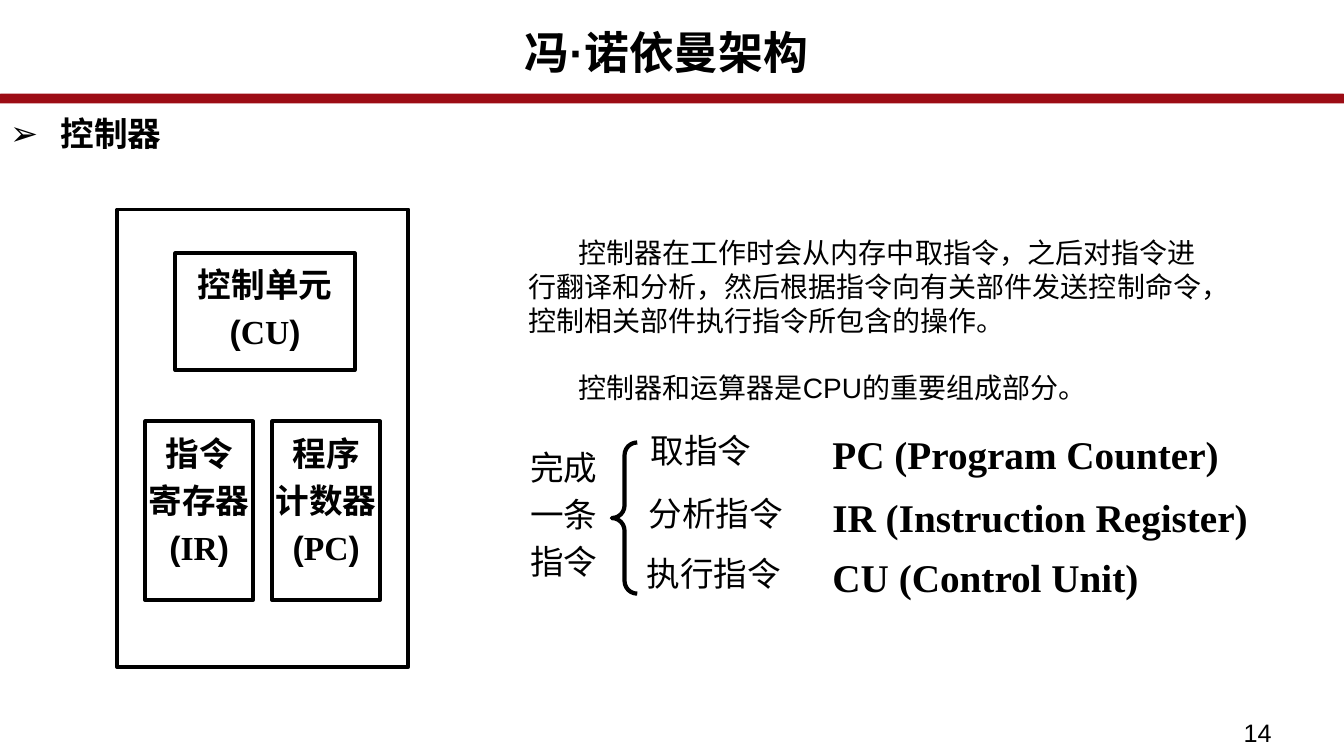
from lxml.etree import SubElement
from pptx import Presentation
from pptx.dml.color import RGBColor
from pptx.enum.shapes import MSO_SHAPE as Preset
from pptx.enum.text import MSO_ANCHOR as Anchor, MSO_AUTO_SIZE as AutoSize, PP_ALIGN as Align
from pptx.oxml.ns import qn
from pptx.util import Cm, Pt

BLACK, WHITE, RED = "000000", "FFFFFF", "9C0C15"
SANS, SERIF, CJK = "Arial", "Times New Roman", "Noto Sans CJK SC"

TITLE = "冯·诺依曼架构"
TOPIC = "控制器"
PAGE = "14"
EXPLANATION = [
    "控制器在工作时会从内存中取指令，之后对指令进行翻译和分析，然后根据指令向有关部件发送控制命令，控制相关部件执行指令所包含的操作。",
    "控制器和运算器是CPU的重要组成部分。",
]
# Each unit: name lines, abbreviation, (left, top, width, height) in cm
UNITS = [
    (["控制单元"], "CU", (4.42, 6.38, 4.52, 2.95)),
    (["指令", "寄存器"], "IR", (3.66, 10.62, 2.72, 4.5)),
    (["程序", "计数器"], "PC", (6.86, 10.62, 2.72, 4.5)),
]
CYCLE = ["完成", "一条", "指令"]
# Each step: action, register or unit in charge, left and top in cm
STEPS = [
    ("取指令", "PC (Program Counter)", 16.15, 10.72),
    ("分析指令", "IR (Instruction Register)", 16.1, 12.3),
    ("执行指令", "CU (Control Unit)", 16.05, 13.82),
]
REGISTER_LEFT = 20.73


def color(hex_code):
    return RGBColor.from_string(hex_code)


def place(shape, box):
    for side, length in zip(("left", "top", "width", "height"), box):
        setattr(shape, side, Cm(length))


def style(font, **values):
    for key, value in {"name": SANS, "bold": False, **values}.items():
        setattr(font, key, value)
    font.color.rgb = color(BLACK)


def prepare(frame, **values):
    defaults = {"word_wrap": True, "auto_size": AutoSize.NONE, "vertical_anchor": Anchor.TOP}
    for key, value in {**defaults, **values}.items():
        setattr(frame, key, value)


def write(frame, lines, align=Align.LEFT, gap=4.8, **font):
    """Fill a frame; a line is a text or a list of (text, font name) runs."""
    for i, line in enumerate(lines):
        paragraph = frame.add_paragraph() if i else frame.paragraphs[0]
        paragraph.alignment = align
        paragraph.space_before = Pt(gap if i else 0)
        runs = [(line, font.get("name", SANS))] if isinstance(line, str) else line
        for text, name in runs:
            run = paragraph.add_run()
            run.text = text
            style(run.font, **{**font, "name": name})


def add_text(box, lines, wrap=True, **formats):
    frame = slide.shapes.add_textbox(*map(Cm, box)).text_frame
    prepare(frame, word_wrap=wrap)
    write(frame, lines, **formats)
    return frame


def add_preset(preset, box, fill, line, width=2.75):
    shape = slide.shapes.add_shape(preset, *map(Cm, box))
    shape.shadow.inherit = False
    if fill:
        shape.fill.solid()
        shape.fill.fore_color.rgb = color(fill)
    else:
        shape.fill.background()
    shape.line.color.rgb = color(line)
    shape.line.width = Pt(width)
    return shape


deck = Presentation()
deck.slide_width, deck.slide_height = Cm(33.87), Cm(19.05)
slide = deck.slides.add_slide(deck.slide_layouts[1])
title, topic = slide.placeholders

add_preset(Preset.ROUNDED_RECTANGLE, (0, 2.41, 33.87, 0.15), RED, RED)

place(title, (0, 0.66, 33.6, 1.9))
prepare(title.text_frame)
write(title.text_frame, [TITLE], Align.CENTER, size=Pt(32), bold=True)
title.text_frame.paragraphs[0].line_spacing = 0.89

place(topic, (0, 2.79, 13.72, 1.3))
prepare(topic.text_frame)
bullet = topic.text_frame.paragraphs[0]._p.get_or_add_pPr()
bullet.set("marL", str(Cm(1.27)))
bullet.set("indent", str(Cm(-1.27)))
SubElement(bullet, qn("a:buFont")).set("typeface", SANS)
SubElement(bullet, qn("a:buChar")).set("char", "➢")
write(topic.text_frame, [TOPIC], size=Pt(24), bold=True)
topic.text_frame.paragraphs[0].line_spacing = 0.94

add_text((31.09, 17.96, 2.77, 1.12), [PAGE], size=Pt(18))

add_preset(Preset.RECTANGLE, (2.95, 5.28, 7.34, 11.53), WHITE, BLACK)
for names, short, box in UNITS:
    unit = add_preset(Preset.RECTANGLE, box, WHITE, BLACK).text_frame
    prepare(unit, word_wrap=False, margin_left=0, margin_right=0, margin_top=Cm(0.28))
    abbreviation = [("(", SANS), (short, SERIF), (")", SANS)]
    write(unit, [*names, abbreviation], Align.CENTER, size=Pt(24), bold=True)

explanation = add_text((13.06, 5.82, 17.88, 5.38), EXPLANATION, gap=24, size=Pt(20))
for paragraph in explanation.paragraphs:
    paragraph._p.get_or_add_pPr().set("indent", str(Cm(1.27)))

add_text((12.95, 11.13, 2.51, 3.73), CYCLE, align=Align.CENTER, size=Pt(24), name=CJK)
brace = add_preset(Preset.LEFT_BRACE, (15.42, 11.15, 0.64, 3.81), None, BLACK, 3)
brace.adjustments[0] = 0.5
for action, register, left, top in STEPS:
    add_text((left, top, 5.2, 1.27), [action], size=Pt(24), name=CJK)
    add_text((REGISTER_LEFT, top, 11.1, 1.45), [register], wrap=False,
             size=Pt(28), name=SERIF, bold=True)

deck.save("out.pptx")
